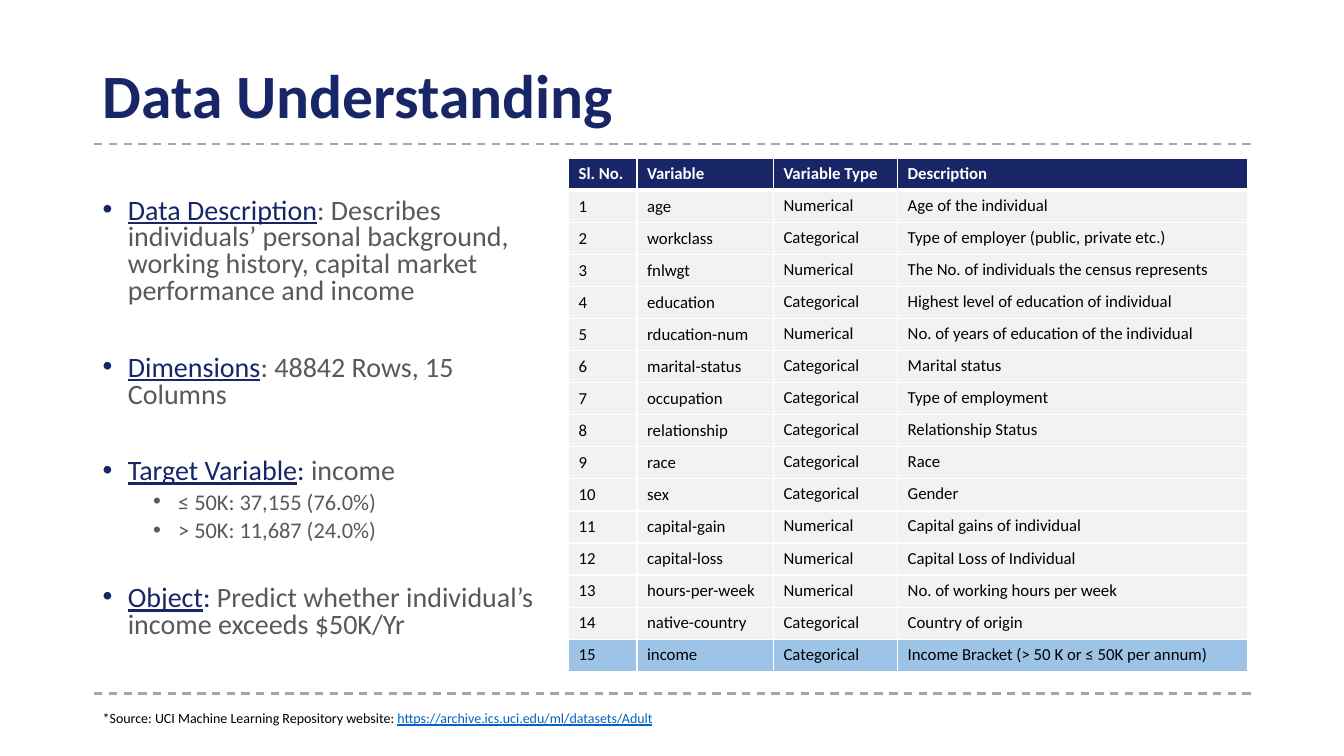
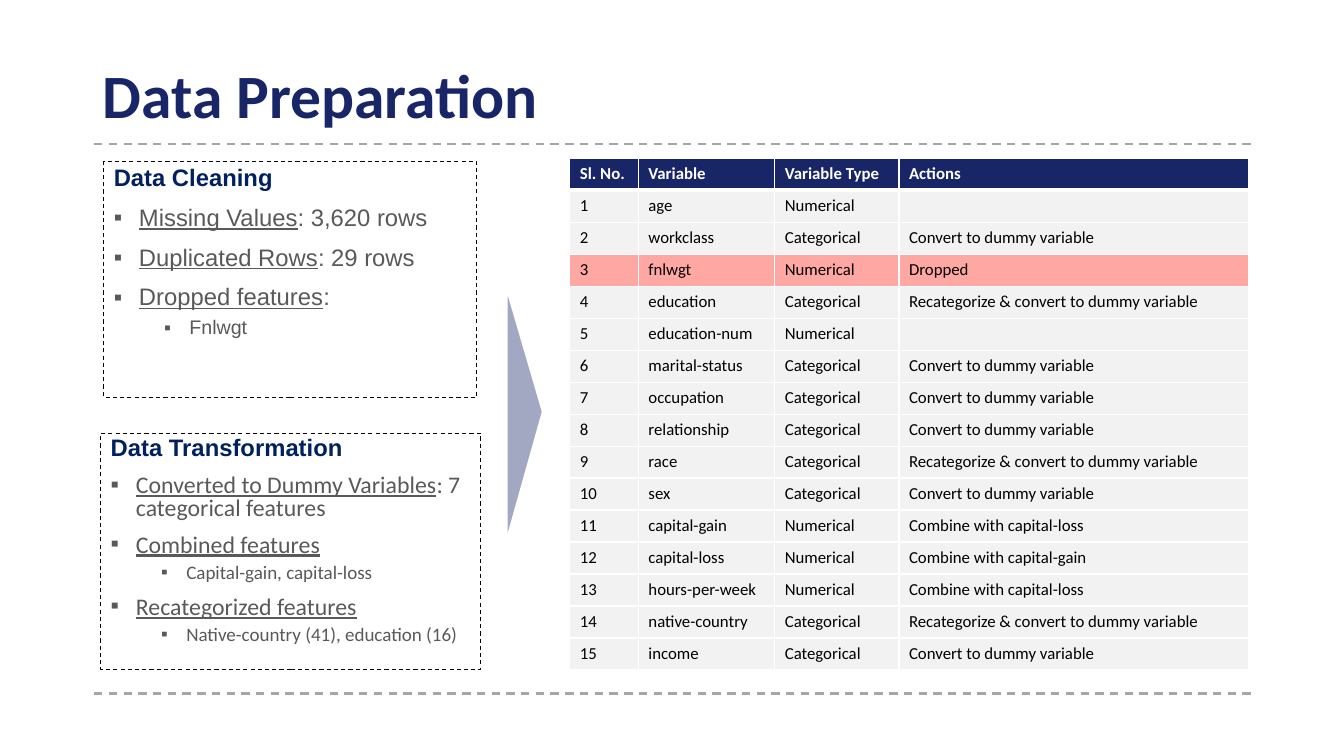
from dataclasses import dataclass
from typing import NamedTuple

from lxml.etree import SubElement as Sub
from pptx import Presentation
from pptx.dml.color import RGBColor as Rgb
from pptx.enum.dml import MSO_LINE as Dash
from pptx.enum.shapes import MSO_CONNECTOR as Link, MSO_SHAPE as Form
from pptx.enum.text import MSO_ANCHOR as Anchor, PP_ALIGN as Align
from pptx.oxml.ns import qn
from pptx.util import Emu, Inches, Pt

# Shared look
WIDE, HIGH = Inches(13.333), Inches(7.5)
NAVY, DEEP, GREY, BLACK, WHITE = "182667", "002060", "595959", "000000", "FFFFFF"
RULE, PALE, SKY, CORAL, BLUE = "A6A6A6", "F2F2F2", "9DC3E6", "FF6961", "0563C1"
SANS, ARIAL = "Calibri", "Arial"
DOT, SQUARE = "•", "▪"
STEP = Inches(0.25)


class Box(NamedTuple):
    """Left, top, width and height in percent of the slide."""
    x: float
    y: float
    w: float
    h: float

    def emu(self) -> list[Emu]:
        return [Emu(round(part * side / 100))
                for part, side in zip(self, (WIDE, HIGH, WIDE, HIGH))]


class Run(NamedTuple):
    text: str
    hue: str = GREY
    under: bool = False
    bold: bool = False


@dataclass
class Para:
    runs: list[Run]
    size: float
    font: str = SANS
    gap: float = 0
    mark: str = ""
    level: int = 0


@dataclass
class Grid:
    box: Box
    last: str
    names: list[str]
    notes: list[str]
    pick: int
    hue: str
    alpha: int = 100


TITLE = Box(6.9, 6.93, 86.25, 12.13)
RULES = (19.07, 91.73)
EDGES = (7, 93.25)
COLS = (10.1, 20.1, 18.3, 51.5)


# Helpers
def rgb(hue: str) -> Rgb:
    return Rgb.from_string(hue)


def paint(fill, host, hue: str, alpha: int = 100) -> None:
    fill.solid()
    fill.fore_color.rgb = rgb(hue)
    if alpha < 100:
        tone = host.find(qn("a:solidFill")).find(qn("a:srgbClr"))
        Sub(tone, qn("a:alpha"), val=str(alpha * 1000))


def stroke(line, hue: str, width: float, dash: bool = False) -> None:
    line.color.rgb = rgb(hue)
    line.width = Pt(width)
    if dash:
        line.dash_style = Dash.DASH


def add_run(para, run: Run, size: float, font: str) -> None:
    part = para.add_run()
    part.text = run.text
    face = part.font
    face.size, face.name = Pt(size), font
    face.bold, face.underline = run.bold, run.under
    face.color.rgb = rgb(run.hue)


def write(frame, paras: list[Para], space: float) -> None:
    frame.word_wrap = True
    for i, item in enumerate(paras):
        para = frame.paragraphs[0] if i == 0 else frame.add_paragraph()
        para.alignment, para.level = Align.LEFT, item.level
        para.line_spacing, para.space_before = space, Pt(item.gap)
        if item.mark:
            props = para._p.get_or_add_pPr()
            props.set("marL", str(STEP * (1 + 2 * item.level)))
            props.set("indent", str(-STEP))
            Sub(props, qn("a:buFont"), typeface=ARIAL)
            Sub(props, qn("a:buChar"), char=item.mark)
        for run in item.runs:
            add_run(para, run, item.size, item.font)


def add_text(slide, box: Box, paras: list[Para], space: float = 1,
             anchor=Anchor.TOP) -> None:
    frame = slide.shapes.add_textbox(*box.emu()).text_frame
    frame.vertical_anchor = anchor
    write(frame, paras, space)


def add_panel(slide, box: Box, paras: list[Para], space: float) -> None:
    panel = slide.shapes.add_shape(Form.RECTANGLE, *box.emu())
    panel.shadow.inherit = False
    panel.fill.background()
    stroke(panel.line, BLACK, 0.75, True)
    panel.text_frame.vertical_anchor = Anchor.TOP
    write(panel.text_frame, paras, space)


def add_rule(slide, y: float) -> None:
    left, top, right, _ = Box(EDGES[0], y, EDGES[1], 0).emu()
    rule = slide.shapes.add_connector(Link.STRAIGHT, left, top, right, top)
    stroke(rule.line, RULE, 1.5, True)
    Sub(rule._element.spPr, qn("a:effectLst"))


def add_edges(props, top: float, base: float) -> None:
    for side, width in (("L", 1), ("R", 1), ("T", top), ("B", base)):
        line = Sub(props, qn(f"a:ln{side}"), w=str(Pt(width)))
        Sub(Sub(line, qn("a:solidFill")), qn("a:srgbClr"), val=WHITE)


def fill_cell(cell, text: str, row: int, col: int, grid: Grid) -> None:
    head = row == 0
    props = cell._tc.get_or_add_tcPr()
    add_edges(props, 3 if row == 1 else 1, 3 if head else 1)
    if row == grid.pick:
        paint(cell.fill, props, grid.hue, grid.alpha)
    else:
        paint(cell.fill, props, NAVY if head else PALE)
    cell.vertical_anchor = Anchor.MIDDLE if col < 2 else Anchor.TOP
    para = cell.text_frame.paragraphs[0]
    if text:
        add_run(para, Run(text, WHITE if head else BLACK, bold=head), 12, SANS)
    else:
        Sub(para._p, qn("a:endParaRPr"), sz="1200")


def add_grid(slide, grid: Grid) -> None:
    rows = [("Sl. No.", "Variable", "Variable Type", grid.last)]
    for i, (name, note) in enumerate(zip(grid.names, grid.notes), 1):
        kind = "Numerical" if i in NUMS else "Categorical"
        rows.append((str(i), name, kind, note))
    box = grid.box.emu()
    table = slide.shapes.add_table(len(rows), len(COLS), *box).table
    table.horz_banding = False
    for col, share in zip(table.columns, COLS):
        col.width = Emu(round(box[2] * share / 100))
    for r, texts in enumerate(rows):
        table.rows[r].height = Emu(box[3] // len(rows))
        for c, text in enumerate(texts):
            fill_cell(table.cell(r, c), text, r, c, grid)


def add_slide(deck, title: str):
    slide = deck.slides.add_slide(deck.slide_layouts[6])
    for y in RULES:
        add_rule(slide, y)
    head = Para([Run(title, NAVY, bold=True)], 44)
    add_text(slide, TITLE, [head], 0.9, Anchor.MIDDLE)
    return slide


# Table content
NUMS = {1, 3, 5, 11, 12, 13}
NAMES = ["age", "workclass", "fnlwgt", "education", "education-num",
         "marital-status", "occupation", "relationship", "race", "sex",
         "capital-gain", "capital-loss", "hours-per-week", "native-country",
         "income"]
TYPED = [*NAMES[:4], "rducation-num", *NAMES[5:]]
ABOUT = ["Age of the individual", "Type of employer (public, private etc.)",
         "The No. of individuals the census represents",
         "Highest level of education of individual",
         "No. of years of education of the individual", "Marital status",
         "Type of employment", "Relationship Status", "Race", "Gender",
         "Capital gains of individual", "Capital Loss of Individual",
         "No. of working hours per week", "Country of origin",
         "Income Bracket (> 50 K or ≤ 50K per annum)"]
DUMMY = "Convert to dummy variable"
REGROUP = "Recategorize & convert to dummy variable"
LOSS, GAIN = "Combine with capital-loss", "Combine with capital-gain"
ACTS = ["", DUMMY, "Dropped", REGROUP, "", DUMMY, DUMMY, DUMMY, REGROUP,
        DUMMY, LOSS, GAIN, LOSS, REGROUP, DUMMY]


# Slide 1
def point(term: str, colon: str, rest: str, gap: float) -> Para:
    runs = [Run(term, NAVY, True)]
    if colon:
        runs.append(Run(colon, NAVY))
    return Para([*runs, Run(rest)], 20, gap=gap, mark=DOT)


def study(deck) -> None:
    slide = add_slide(deck, "Data Understanding")
    add_text(slide, Box(6.9, 25.6, 34.2, 64.53), [
        point("Data Description", "", ": Describes individuals’ personal "
              "background, working history, capital market performance "
              "and income", 0),
        point("Dimensions", "", ": 48842 Rows, 15 Columns", 35.5),
        point("Target Variable", ":", " income", 35.5),
        *(Para([Run(text)], 16, gap=5, mark=DOT, level=1)
          for text in ("≤ 50K: 37,155 (76.0%)", "> 50K: 11,687 (24.0%)")),
        point("Object", ":",
              " Predict whether individual’s income exceeds $50K/Yr", 30.5),
    ], 0.8)
    add_grid(slide, Grid(Box(42.3, 20.93, 50.5, 67.87), "Description",
                         TYPED, ABOUT, 15, SKY))
    source = [Run("*Source: UCI Machine Learning Repository website: ", BLACK),
              Run("https://archive.ics.uci.edu/ml/datasets/Adult", BLUE, True)]
    add_text(slide, Box(6.9, 93.2, 86.25, 3.6), [Para(source, 10)])


# Slide 2
def heading(text: str) -> Para:
    return Para([Run(text, DEEP, bold=True)], 17, ARIAL, 10)


def item(term: str, rest: str, font: str) -> Para:
    runs = [Run(term, under=True)]
    if rest:
        runs.append(Run(rest))
    return Para(runs, 17, font, 10, SQUARE)


def detail(text: str, size: float, font: str) -> Para:
    return Para([Run(text)], size, font, 5, SQUARE, 1)


def prepare(deck) -> None:
    slide = add_slide(deck, "Data Preparation")
    add_grid(slide, Grid(Box(42.4, 20.93, 50.5, 67.73), "Actions",
                         NAMES, ACTS, 3, CORAL, 58))
    add_panel(slide, Box(7.73, 21.33, 27.75, 31.2), [
        heading("Data Cleaning"),
        item("Missing Values", ": 3,620 rows", ARIAL),
        item("Duplicated Rows", ": 29 rows", ARIAL),
        item("Dropped features", ":", ARIAL),
        detail("Fnlwgt", 14, ARIAL),
    ], 0.9)
    add_panel(slide, Box(7.5, 57.33, 28.28, 31.2), [
        heading("Data Transformation"),
        item("Converted to Dummy Variables", ": 7 categorical features", SANS),
        item("Combined features", "", SANS),
        detail("Capital-gain, capital-loss", 13.6, SANS),
        item("Recategorized features", "", SANS),
        detail("Native-country (41), education (16)", 13.6, SANS),
    ], 0.8)
    # Pointer from the steps to the table
    wedge = slide.shapes.add_shape(Form.ISOSCELES_TRIANGLE,
                                   *Box(29.63, 52.4, 18.83, 4.8).emu())
    wedge.adjustments[0] = 0.49
    wedge.rotation = 90
    wedge.shadow.inherit = False
    paint(wedge.fill, wedge._element.spPr, NAVY, 40)
    stroke(wedge.line, WHITE, 1.5)


def main() -> None:
    deck = Presentation()
    deck.slide_width, deck.slide_height = WIDE, HIGH
    study(deck)
    prepare(deck)
    deck.save("out.pptx")


if __name__ == "__main__":
    main()
